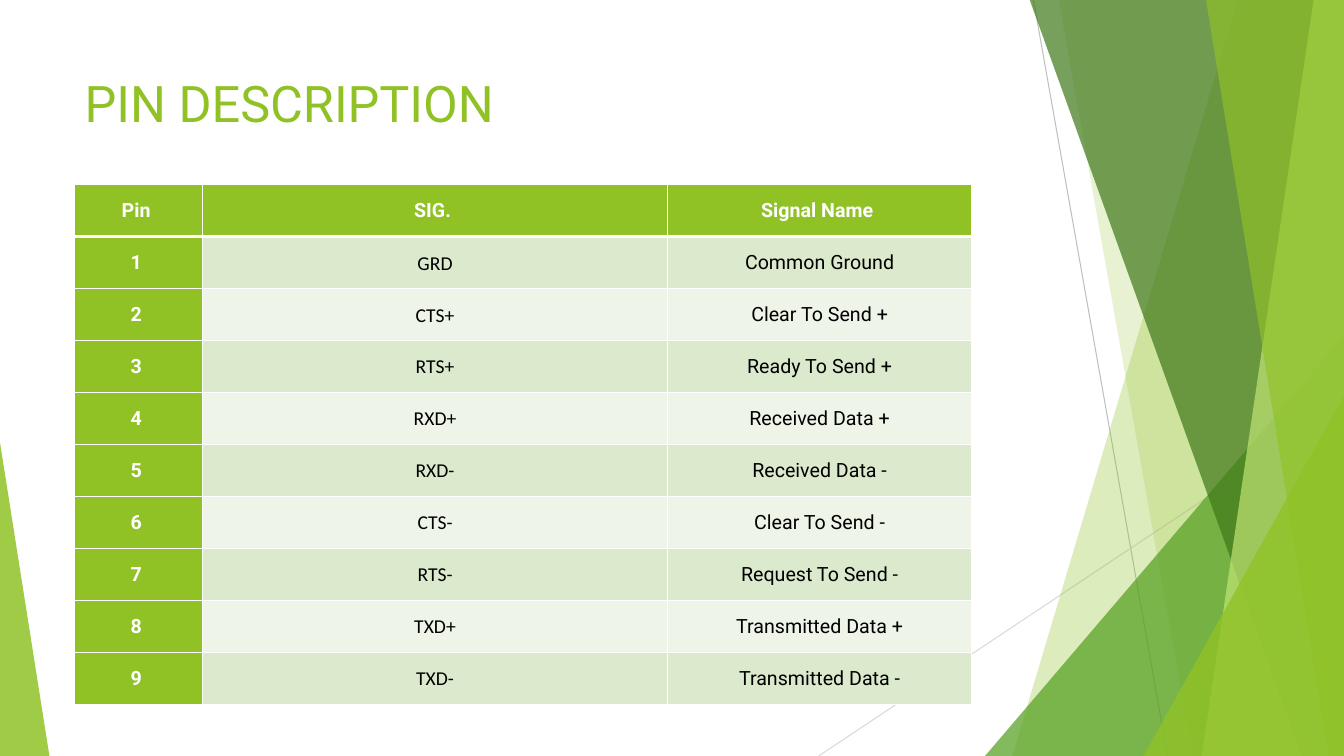
import pptx
import pptx.util
import pptx.dml.color
import pptx.enum.shapes
import pptx.enum.text
import pptx.oxml
import pptx.oxml.ns

Inches = pptx.util.Inches
Pt = pptx.util.Pt

COLORS = {
    "lime": "90C226", "green": "54A021", "forest": "3F7819", "pale": "C0E474",
    "band_dark": "DBE9CD", "band_light": "EEF4E8",
    "white": "FFFFFF", "black": "000000",
    "line_gray": "BFBFBF", "line_light": "D9D9D9",
}

TITLE = "PIN DESCRIPTION"
HEADINGS = ("Pin ", "SIG. ", "Signal Name ")
SIGNALS = [
    ("GRD", "Common Ground"),
    ("CTS+", "Clear To Send +"),
    ("RTS+", "Ready To Send +"),
    ("RXD+", "Received Data +"),
    ("RXD-", "Received Data -"),
    ("CTS-", "Clear To Send -"),
    ("RTS-", "Request To Send -"),
    ("TXD+", "Transmitted Data +"),
    ("TXD-", "Transmitted Data -"),
]
COLUMN_WIDTHS = (1.27, 4.61, 3.02)
COLUMN_FONTS = ("Roboto", "Calibri", "Roboto")
ROW_HEIGHT = 0.516
LEFT = 0.74

WIDTH, HEIGHT = 13.33, 7.5
BLEED_TOP = -0.01

# start, end, color
HAIRLINES = [
    ((10.25, 0), (11.58, HEIGHT), "line_gray"),
    ((WIDTH, 4.03), (8.12, HEIGHT), "line_light"),
]
# Facets from back to front. A band runs from its slanted left edge
# (top x, bottom x) to the slide's right side; a corner is a triangle
# (left, top, width, apex position) standing on the bottom of the slide.
FACETS = [
    ("band", (12.28, 10.04), "lime", 30),
    ("band", (10.5, 11.83), "lime", 20),
    ("corner", (9.77, 3.33, 3.56, 1), "green", 72),
    ("band", (10.21, 12.91), "forest", 70),
    ("band", (13.03, 11.92), "pale", 70),
    ("band", (11.96, 13.18), "lime", 65),
    ("corner", (11.34, 3.93, 1.99, 1), "lime", 80),
    ("corner", (0, 4.39, 0.49, 0), "lime", 85),
]


def rgb(color):
    return pptx.dml.color.RGBColor.from_string(COLORS[color])


def write(frame, text, *, size, font="Roboto", color="black", bold=False,
          align="CENTER", spacing=None):
    paragraph = frame.paragraphs[0]
    paragraph.alignment = getattr(pptx.enum.text.PP_ALIGN, align)
    paragraph.line_spacing = spacing
    run = paragraph.add_run()
    run.text = text
    run.font.name, run.font.size, run.font.bold = font, Pt(size), bold
    run.font.color.rgb = rgb(color)


def add_hairline(slide, start, end, color):
    hairline = slide.shapes.add_connector(
        pptx.enum.shapes.MSO_CONNECTOR.STRAIGHT,
        *(Inches(value) for value in start + end))
    hairline.line.color.rgb = rgb(color)
    hairline.line.width = Pt(0.75)
    properties = hairline.element.spPr
    properties.append(properties.makeelement(pptx.oxml.ns.qn("a:effectLst"), {}))


def add_facet(slide, kind, place, color, opacity):
    if kind == "band":
        top_x, bottom_x = place
        builder = slide.shapes.build_freeform(Inches(top_x), Inches(BLEED_TOP))
        outline = [(WIDTH, BLEED_TOP), (WIDTH, HEIGHT), (bottom_x, HEIGHT)]
        builder.add_line_segments([(Inches(x), Inches(y)) for x, y in outline])
        facet = builder.convert_to_shape()
    else:
        left, top, width, apex = place
        facet = slide.shapes.add_shape(
            pptx.enum.shapes.MSO_SHAPE.ISOSCELES_TRIANGLE,
            Inches(left), Inches(top), Inches(width), Inches(HEIGHT - top))
        facet.adjustments[0] = apex
    facet.shadow.inherit = False
    facet.line.fill.background()
    facet.fill.solid()
    facet.fill.fore_color.rgb = rgb(color)
    tint = facet.element.spPr.find(".//" + pptx.oxml.ns.qn("a:srgbClr"))
    tint.append(tint.makeelement(pptx.oxml.ns.qn("a:alpha"),
                                 {"val": str(opacity * 1000)}))


def add_borders(cell, row):
    """White rules, heavier between the heading row and the first pin."""
    widths = {"L": 1, "R": 1, "T": 3 if row == 1 else 1, "B": 3 if row == 0 else 1}
    for side, width in widths.items():
        cell._tc.get_or_add_tcPr().append(pptx.oxml.parse_xml(
            f'<a:ln{side} {pptx.oxml.ns.nsdecls("a")} w="{Pt(width)}">'
            f'<a:solidFill><a:srgbClr val="{COLORS["white"]}"/></a:solidFill>'
            f'</a:ln{side}>'))


def add_pin_table(slide):
    rows = [HEADINGS] + [(f"{pin} ", *signal) for pin, signal in enumerate(SIGNALS, 1)]
    table = slide.shapes.add_table(
        len(rows), len(HEADINGS), Inches(LEFT), Inches(1.83),
        Inches(sum(COLUMN_WIDTHS)), Inches(ROW_HEIGHT * len(rows))).table
    for column, width in zip(table.columns, COLUMN_WIDTHS):
        column.width = Inches(width)
    for r, texts in enumerate(rows):
        table.rows[r].height = Inches(ROW_HEIGHT)
        for c, text in enumerate(texts):
            cell = table.cell(r, c)
            heading = r == 0 or c == 0
            band = "band_dark" if r % 2 else "band_light"
            cell.margin_left = cell.margin_right = Inches(0.01)
            cell.margin_top = cell.margin_bottom = Inches(0.01)
            cell.vertical_anchor = pptx.enum.text.MSO_ANCHOR.MIDDLE
            add_borders(cell, r)
            cell.fill.solid()
            cell.fill.fore_color.rgb = rgb("lime" if heading else band)
            write(cell.text_frame, text, size=14, bold=heading, spacing=1.07,
                  font="Roboto" if heading else COLUMN_FONTS[c],
                  color="white" if heading else "black")


def main():
    deck = pptx.Presentation()
    deck.slide_width, deck.slide_height = Inches(WIDTH), Inches(HEIGHT)
    slide = deck.slides.add_slide(deck.slide_layouts[5])

    for hairline in HAIRLINES:
        add_hairline(slide, *hairline)
    for facet in FACETS:
        add_facet(slide, *facet)

    title = slide.shapes.title
    title.left, title.top = Inches(LEFT), Inches(0.67)
    title.width, title.height = Inches(9.4), Inches(1.44)
    title.text_frame.vertical_anchor = pptx.enum.text.MSO_ANCHOR.TOP
    write(title.text_frame, TITLE, size=36, color="lime", align="LEFT")

    add_pin_table(slide)
    deck.save("out.pptx")


if __name__ == "__main__":
    main()
